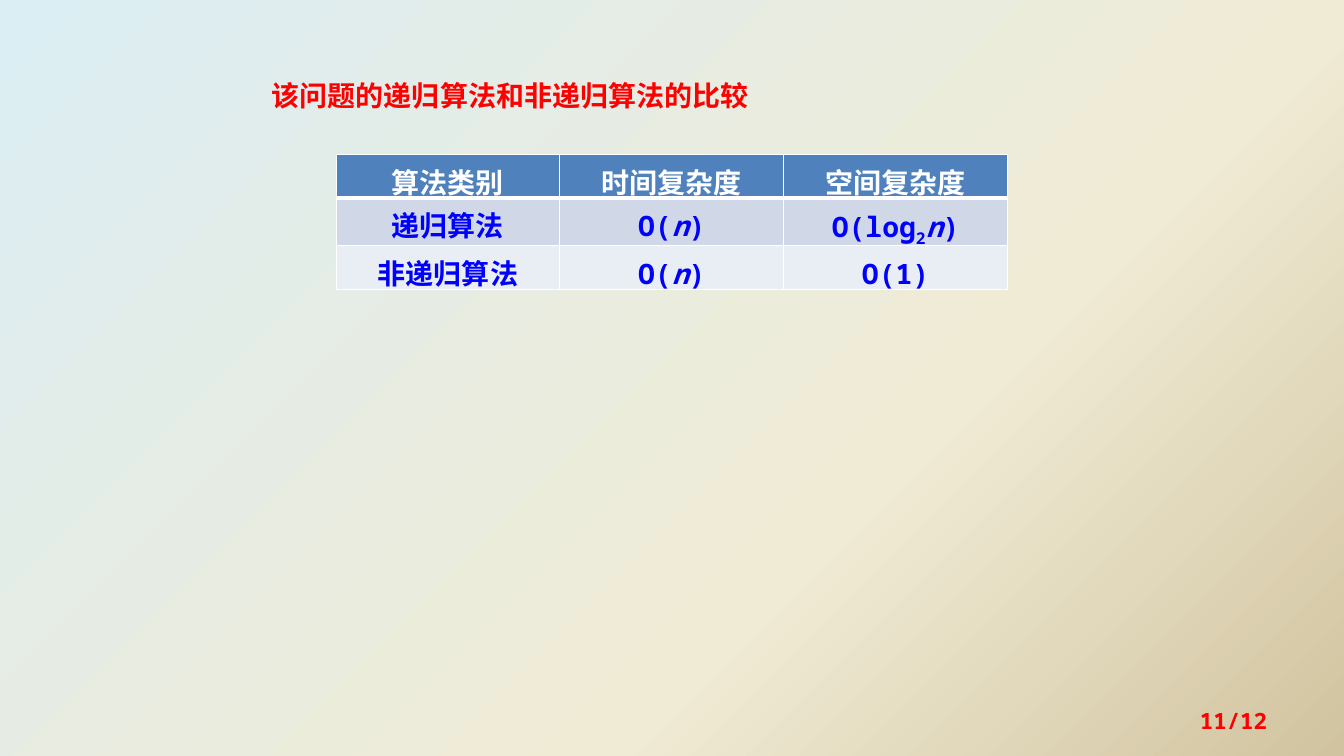
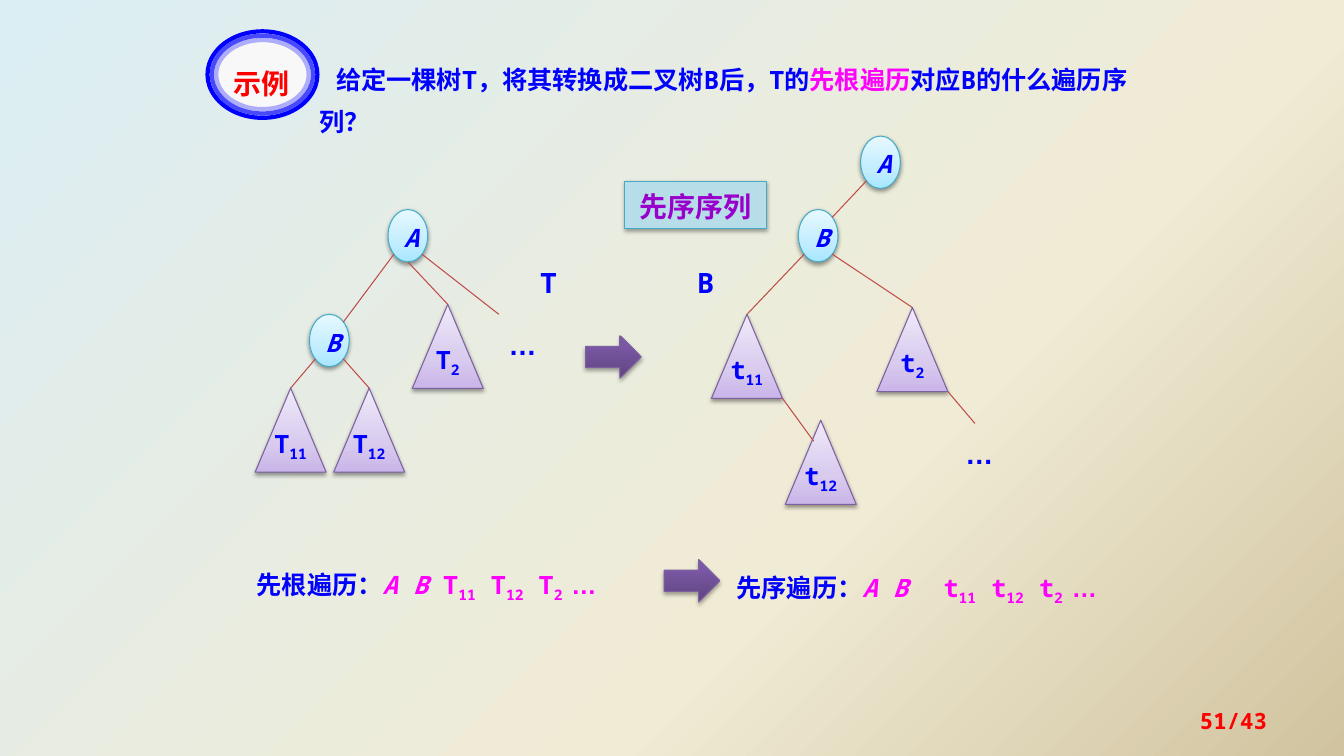
"""Build two slides: a complexity table and a tree-to-binary-tree example."""
from dataclasses import dataclass
from typing import NamedTuple, Optional, Sequence, Union

import pptx
import pptx.dml.color
import pptx.enum.shapes
import pptx.enum.text
import pptx.oxml.ns
import pptx.util
from lxml import etree

Cm = pptx.util.Cm
Pt = pptx.util.Pt
qn = pptx.oxml.ns.qn
SHAPE = pptx.enum.shapes.MSO_SHAPE
ALIGN = pptx.enum.text.PP_ALIGN
ANCHOR = pptx.enum.text.MSO_ANCHOR

COLOURS = {
    "red": "FF0000", "blue": "0000FF", "magenta": "FF00FF", "violet": "9900CC",
    "white": "FFFFFF", "header": "4F81BD", "band_dark": "D0D8E8", "band_light": "E9EDF4",
    "teal_fill": "B7DEE8", "teal_line": "46AAC5", "purple_line": "7D60A0",
    "branch": "BF4C48", "badge": "F8F8F8", "shadow": "000000",
}
BACKDROP = ((0, "DBEEF4"), (65, "F0EBD5"), (100, "D1C39F"))
AQUA = ((0, "A7E6FF"), (35, "C1EDFF"), (100, "E7F8FF"))
LILAC = ((0, "C9B5E8"), (35, "D8CBEE"), (100, "F0EAF9"))
PURPLE = ((0, "5F4480"), (80, "7B58A6"), (100, "7C57A8"))
MONO = "Noto Sans Mono"


class Span(NamedTuple):
    text: str
    italic: bool = False
    sub: bool = False
    colour: Optional[str] = None
    font: Optional[str] = None


class Style(NamedTuple):
    size: int = 18
    colour: str = "blue"
    font: str = MONO
    align: ALIGN = ALIGN.LEFT
    spacing: Union[float, Pt, None] = Pt(30)
    indent: float = 0
    tab: float = 0


class Area(NamedTuple):
    left: float
    top: float
    width: float
    height: float

    def at(self, across: float, down: float) -> tuple[float, float]:
        return self.left + across * self.width, self.top + down * self.height


@dataclass(frozen=True)
class Kind:
    shape: SHAPE
    width: float
    height: float
    stops: Sequence
    line: str
    style: Style
    inset: Optional[float] = None


@dataclass(frozen=True)
class Node:
    kind: Kind
    left: float
    top: float
    spans: Sequence[Span]

    @property
    def area(self) -> Area:
        return Area(self.left, self.top, self.kind.width, self.kind.height)


CENTRED = Style(align=ALIGN.CENTER, spacing=1.1)
OVAL = Kind(SHAPE.OVAL, 1, 1.32, AQUA, "teal_line", CENTRED)
SUBTREE = Kind(SHAPE.ISOSCELES_TRIANGLE, 1.79, 2.12, LILAC, "purple_line",
               CENTRED._replace(spacing=Pt(16)), 0)
LABEL = Style(size=20)
SW, SE, NE, BOTTOM, TOP, CORNER = (0.15, 0.85), (0.85, 0.85), (0.85, 0.15), (0.5, 1), (0.5, 0), (1, 1)


def rgb(name: str) -> pptx.dml.color.RGBColor:
    return pptx.dml.color.RGBColor.from_string(COLOURS[name])


def add_colour(parent, value: str, alpha: int = 100) -> None:
    colour = etree.SubElement(parent, qn("a:srgbClr"), val=value)
    if alpha < 100:
        etree.SubElement(colour, qn("a:alpha"), val=str(alpha * 1000))


def paint_gradient(fill, element, stops: Sequence, angle: int) -> None:
    fill.gradient()
    gradient = next(element.iter(qn("a:gradFill")))
    stop_list = gradient.find(qn("a:gsLst"))
    for stop in list(stop_list):
        stop_list.remove(stop)
    for position, value in stops:
        add_colour(etree.SubElement(stop_list, qn("a:gs"), pos=str(position * 1000)), value)
    gradient.find(qn("a:lin")).set("ang", str(angle * 60000))


def write(frame, spans: Sequence[Span], style: Style) -> None:
    para = frame.paragraphs[0]
    para.alignment = style.align
    if style.spacing is not None:
        para.line_spacing = style.spacing
    properties = para._p.get_or_add_pPr()
    if style.indent:
        properties.set("indent", str(Cm(style.indent)))
    if style.tab:
        tabs = etree.SubElement(properties, qn("a:tabLst"))
        etree.SubElement(tabs, qn("a:tab"), pos=str(Cm(style.tab)), algn="l")
    same_colour = all(span.colour is None for span in spans)
    same_font = all(span.font is None for span in spans)
    para.font.size = Pt(style.size)
    para.font.bold = True
    if same_colour:
        para.font.color.rgb = rgb(style.colour)
    if same_font:
        set_face(para.font, style.font)
    for span in spans:
        run = para.add_run()
        run.text = span.text
        if span.italic:
            run.font.italic = True
        if span.sub:
            run._r.get_or_add_rPr().set("baseline", "-25000")
        if not same_colour:
            run.font.color.rgb = rgb(span.colour or style.colour)
        if not same_font:
            set_face(run.font, span.font or style.font)


def set_face(font, name: str) -> None:
    font.name = name
    latin = font._element.find(qn("a:latin"))
    latin.addnext(etree.Element(qn("a:ea"), typeface=name))


def add_text(page, area: Area, spans: Sequence[Span], style: Style, anchor=ANCHOR.TOP) -> None:
    box = page.shapes.add_textbox(*map(Cm, area))
    box.text_frame.word_wrap = True
    box.text_frame.vertical_anchor = anchor
    write(box.text_frame, spans, style)


def add_shape(page, shape: SHAPE, area: Area, line: str, width: float = 0.75,
              fill: Optional[str] = None, stops: Sequence = (), shadow: int = 0, alpha: int = 100):
    box = page.shapes.add_shape(shape, *map(Cm, area))
    box.shadow.inherit = False
    if stops:
        paint_gradient(box.fill, box._element.spPr, stops, 270)
    elif fill:
        box.fill.solid()
        box.fill.fore_color.rgb = rgb(fill)
    else:
        box.fill.background()
    box.line.color.rgb = rgb(line)
    box.line.width = Pt(width)
    if alpha < 100:
        colour = next(box.line._ln.iter(qn("a:srgbClr")))
        etree.SubElement(colour, qn("a:alpha"), val=str(alpha * 1000))
    if shadow:
        effects = box._element.spPr.find(qn("a:effectLst"))
        outer = etree.SubElement(effects, qn("a:outerShdw"), blurRad=str(Pt(3.1)),
                                 dist=str(Pt(1.7)), dir="5400000", rotWithShape="0")
        add_colour(outer, COLOURS["shadow"], shadow)
    return box


def add_node(page, node: Node) -> None:
    kind = node.kind
    box = add_shape(page, kind.shape, node.area, kind.line, stops=kind.stops, shadow=38)
    frame = box.text_frame
    if kind.inset is not None:
        frame.margin_left = frame.margin_right = Cm(kind.inset)
        frame.margin_top = frame.margin_bottom = Cm(kind.inset)
    write(frame, node.spans, kind.style)


def add_branch(page, start: tuple[float, float], end: tuple[float, float]) -> None:
    line = page.shapes.add_connector(pptx.enum.shapes.MSO_CONNECTOR.STRAIGHT, *map(Cm, start + end))
    line.line.color.rgb = rgb("branch")
    line.line.width = Pt(0.75)
    etree.SubElement(line._element.spPr, qn("a:effectLst"))


def add_page(deck, number: str):
    page = deck.slides.add_slide(deck.slide_layouts[6])
    add_text(page, Area(24.28, 17.65, 7.9, 1.02), [Span(number)],
             Style(16, "red", align=ALIGN.RIGHT, spacing=None), ANCHOR.MIDDLE)
    return page


def add_borders(cell, top: int, bottom: int) -> None:
    properties = cell._tc.get_or_add_tcPr()
    for index, (side, width) in enumerate((("L", 1), ("R", 1), ("T", top), ("B", bottom))):
        border = etree.Element(qn(f"a:ln{side}"), w=str(Pt(width)))
        add_colour(etree.SubElement(border, qn("a:solidFill")), COLOURS["white"])
        properties.insert(index, border)


def build_comparison(deck) -> None:
    page = add_page(deck, "11/12")
    add_text(page, Area(6.6, 1.78, 12.73, 1.19), [Span("该问题的递归算法和非递归算法的比较")],
             Style(20, "red", "Noto Sans CJK SC", spacing=1.1))
    linear = [Span("O("), Span("n", italic=True), Span(")")]
    logarithmic = [Span("O(log"), Span("2", sub=True), Span("n", italic=True), Span(")")]
    rows = (
        ("header", "white", 1.1, [[Span(name)] for name in ("算法类别", "时间复杂度", "空间复杂度")]),
        ("band_dark", "blue", 1.2, [[Span("递归算法")], linear, logarithmic]),
        ("band_light", "blue", 1.1, [[Span("非递归算法")], linear, [Span("O(1)")]]),
    )
    table = page.shapes.add_table(3, 3, Cm(8.47), Cm(3.89), Cm(16.92), Cm(3.4)).table
    table.horz_banding = False
    for column in table.columns:
        column.width = Cm(5.64)
    for index, (fill, colour, height, texts) in enumerate(rows):
        table.rows[index].height = Cm(height)
        for cell, spans in zip(table.rows[index].cells, texts):
            cell.margin_bottom = 0
            cell.fill.solid()
            cell.fill.fore_color.rgb = rgb(fill)
            add_borders(cell, 3 if index == 1 else 1, 3 if index == 0 else 1)
            write(cell.text_frame, spans, CENTRED._replace(size=20, colour=colour))


def add_badge(page) -> None:
    for step, (fill, alpha) in enumerate((("badge", 100), (None, 70), (None, 30))):
        inset = 0.11 * step
        area = Area(5.23 + inset, 0.79 + inset, 2.77 - 2 * inset, 2.18 - 2 * inset)
        add_shape(page, SHAPE.OVAL, area, "blue", 3, fill, alpha=alpha)
    add_text(page, Area(5.38, 1.47, 2.44, 1.19), [Span("示例")],
             CENTRED._replace(size=20, colour="red", font="Noto Sans CJK JP"))


def add_order(page, left: float, top: float, name: str, letter: str, gap: str, tab: float = 0) -> None:
    spans = [Span(name), Span("A B", italic=True, colour="magenta")]
    for lead, digits in ((gap, "11"), (" ", "12"), (" ", "2 ")):
        spans += [Span(lead + letter, colour="magenta"), Span(digits, sub=True, colour="magenta")]
    spans.append(Span("…", colour="magenta", font="Arial"))
    add_text(page, Area(left, top, 10.11, 1.32), spans, Style(tab=tab))


def build_example(deck) -> None:
    page = add_page(deck, "51/43")
    add_text(page, Area(7.8, 1.19, 21.44, 2.39),
             [Span("给定一棵树T，将其转换成二叉树B后，T的"), Span("先根遍历", colour="magenta"),
              Span("对应B的什么遍历序列？")], Style(indent=0.42))
    add_order(page, 6.22, 14.02, "先根遍历：", "T", " ")
    add_order(page, 18.31, 14.1, "先序遍历：", "t", "\t", 5.22)

    roots = {"tree A": (9.78, 5.28), "tree B": (7.8, 7.92),
             "binary A": (21.69, 3.43), "binary B": (20.12, 5.28)}
    subtrees = {"T11": (6.43, 9.78), "T12": (8.41, 9.78), "T2": (10.39, 7.67),
                "t11": (17.93, 7.92), "t12": (19.79, 10.59), "t2": (22.1, 7.75)}
    nodes = {name: Node(OVAL, *place, [Span(name[-1], italic=True)]) for name, place in roots.items()}
    nodes |= {name: Node(SUBTREE, *place, [Span(name[0]), Span(name[1:], sub=True)])
              for name, place in subtrees.items()}
    for node in nodes.values():
        add_node(page, node)
    areas = {name: node.area for name, node in nodes.items()}
    areas |= {"tree rest": Area(12.57, 7.92, 1.4, 1.32), "binary rest": Area(24.08, 10.67, 1.4, 1.32)}
    branches = (
        ("tree A", SW, "tree B", NE), ("tree A", BOTTOM, "T2", TOP), ("tree A", SE, "tree rest", (0, 0)),
        ("tree B", SW, "T11", TOP), ("tree B", SE, "T12", TOP),
        ("binary A", SW, "binary B", NE), ("binary B", SW, "t11", TOP), ("binary B", SE, "t2", TOP),
        ("t11", CORNER, "t12", (0.4, 0.25)), ("t2", CORNER, "binary rest", (0.35, 0)),
    )
    for parent, start, child, end in branches:
        add_branch(page, areas[parent].at(*start), areas[child].at(*end))
    for rest in ("tree rest", "binary rest"):
        add_text(page, areas[rest], [Span("…")], LABEL._replace(font="Arial"))
    for name, left in (("T", 13.36), ("B", 17.32)):
        add_text(page, Area(left, 6.35, 1.4, 1.32), [Span(name)], LABEL)
    for left, top in ((14.76, 8.46), (16.74, 14.1)):
        add_shape(page, SHAPE.RIGHT_ARROW, Area(left, top, 1.4, 1.07), "purple_line",
                  stops=PURPLE, shadow=35)
    answer = add_shape(page, SHAPE.RECTANGLE, Area(15.75, 4.57, 3.58, 1.19), "teal_line",
                       fill="teal_fill", shadow=35)
    answer.text_frame.vertical_anchor = ANCHOR.TOP
    write(answer.text_frame, [Span("先序序列")], Style(20, "violet", align=ALIGN.CENTER, spacing=Pt(26)))
    add_badge(page)


def main() -> None:
    deck = pptx.Presentation()
    deck.slide_width, deck.slide_height = Cm(33.87), Cm(19.05)
    master = deck.slide_master
    paint_gradient(master.background.fill, master._element, BACKDROP, 45)
    build_comparison(deck)
    build_example(deck)
    deck.save("out.pptx")


if __name__ == "__main__":
    main()
